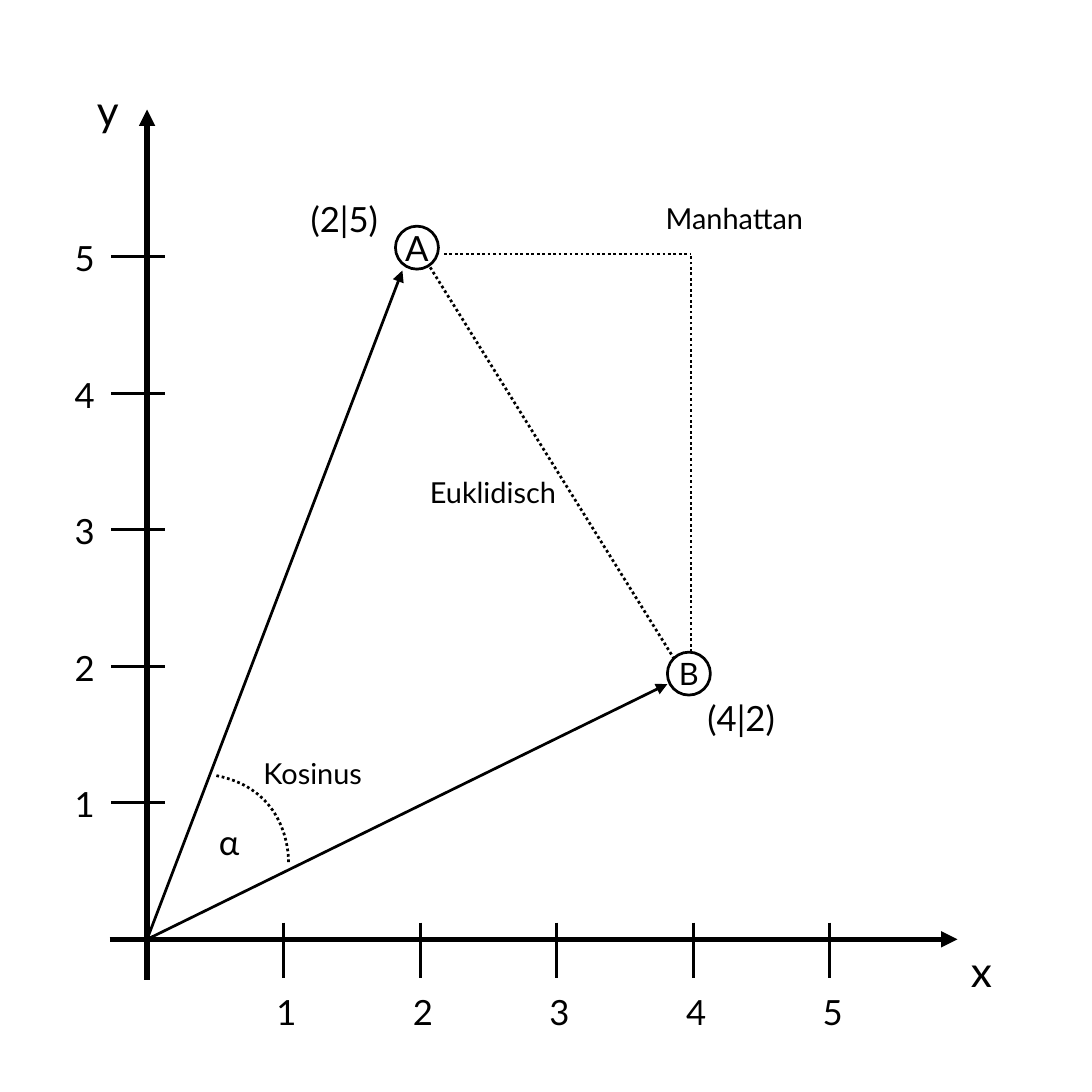
"""Draw points A and B in a coordinate system with three distance measures."""
from lxml.etree import SubElement
from pptx import Presentation
from pptx.dml.color import RGBColor
from pptx.enum.dml import MSO_LINE
from pptx.enum.shapes import MSO_CONNECTOR, MSO_SHAPE
from pptx.enum.text import MSO_ANCHOR, PP_ALIGN
from pptx.oxml.ns import qn
from pptx.util import Inches, Pt

BLACK = "000000"
THIN, THICK = 1.42, 2.83
ORIGIN_X, ORIGIN_Y, UNIT = 1.06, 6.77, 0.984


def style_line(sp, width, dotted=False):
    sp.line.color.rgb = RGBColor.from_string(BLACK)
    sp.line.width = Pt(width)
    if dotted:
        sp.line.dash_style = MSO_LINE.ROUND_DOT


def set_text(sp, text, size):
    p = sp.text_frame.paragraphs[0]
    p.text = text
    font = p.runs[0].font
    font.name = "Lato"
    font.size = Pt(size)
    font.color.rgb = RGBColor.from_string(BLACK)


prs = Presentation()
prs.slide_width = prs.slide_height = Inches(7.87)
s = prs.slides.add_slide(prs.slide_layouts[6])

axes = [
    (0.79, ORIGIN_Y, 6.9, ORIGIN_Y, THICK, False, True),
    (ORIGIN_X, 7.06, ORIGIN_X, 0.79, THICK, False, True),
]
vectors = [
    (ORIGIN_X, ORIGIN_Y, 4.81, 4.93, THIN, False, True),
    (ORIGIN_X, ORIGIN_Y, 2.9, 1.95, THIN, False, True),
]
distances = [
    (4.86, 4.75, 3.09, 1.91, THIN, True, False),
    (4.98, 4.7, 4.98, 1.83, THIN, True, False),
    (3.2, 1.83, 4.98, 1.83, THIN, True, False),
]
labels = [
    ("x", 6.9, 6.76, 0.3, 0.44, 22),
    ("y", 0.6, 0.56, 0.3, 0.44, 22),
    ("(4|2)", 5, 4.97, 0.78, 0.62, 18),
    ("(2|5)", 2.14, 1.38, 0.8, 0.48, 18),
    ("α", 1.48, 5.87, 0.4, 0.4, 18),
    ("Euklidisch", 3, 3.37, 1.2, 0.33, 15),
    ("Manhattan", 4.7, 1.4, 1.2, 0.33, 15),
    ("Kosinus", 1.8, 5.4, 1.2, 0.33, 15),
]
ticks = []
for n in range(1, 6):
    x, y = ORIGIN_X + n * UNIT, ORIGIN_Y - n * UNIT
    ticks.append((0.8, y, 1.19, y, THIN, False, False))
    ticks.append((x, 6.65, x, 7.05, THIN, False, False))
    labels.append((str(n), x - 0.15, 7.09, 0.3, 0.37, 18))
    labels.append((str(n), 0.44, y - 0.19, 0.3, 0.37, 18))

for x1, y1, x2, y2, width, dotted, arrow in axes + ticks + vectors + distances:
    line = s.shapes.add_connector(
        MSO_CONNECTOR.STRAIGHT, Inches(x1), Inches(y1), Inches(x2), Inches(y2))
    style_line(line, width, dotted)
    spPr = line._element.spPr
    if arrow:
        SubElement(spPr.find(qn("a:ln")), qn("a:tailEnd"), type="triangle")
    SubElement(spPr, qn("a:effectLst"))

for name, left, top, size in [("A", 2.85, 1.63, 18), ("B", 4.81, 4.7, 16)]:
    point = s.shapes.add_shape(
        MSO_SHAPE.OVAL, Inches(left), Inches(top), Inches(0.31), Inches(0.31))
    point.shadow.inherit = False
    point.fill.background()
    style_line(point, THIN)
    set_text(point, name, size)
    tf = point.text_frame
    tf.word_wrap = False
    tf.vertical_anchor = MSO_ANCHOR.MIDDLE
    tf.margin_left = tf.margin_right = Inches(0.11)
    tf.margin_top = tf.margin_bottom = Inches(0.06)
    tf.paragraphs[0].alignment = PP_ALIGN.CENTER

curve = [(1.56, 5.59), (2.11, 5.7), (2.08, 6.23), (2.08, 6.23)]
steps = 32
arc_points = []
for i in range(steps + 1):
    t = i / steps
    weights = [(1 - t) ** 3, 3 * t * (1 - t) ** 2, 3 * t ** 2 * (1 - t), t ** 3]
    arc_points.append(tuple(
        Inches(sum(w * c[axis] for w, c in zip(weights, curve))) for axis in (0, 1)))
builder = s.shapes.build_freeform(*arc_points[0])
builder.add_line_segments(arc_points[1:], close=False)
arc = builder.convert_to_shape()
arc.shadow.inherit = False
arc.fill.background()
style_line(arc, THIN, dotted=True)

for text, left, top, width, height, size in labels:
    box = s.shapes.add_textbox(Inches(left), Inches(top), Inches(width), Inches(height))
    box.text_frame.word_wrap = True
    set_text(box, text, size)

prs.save("out.pptx")
